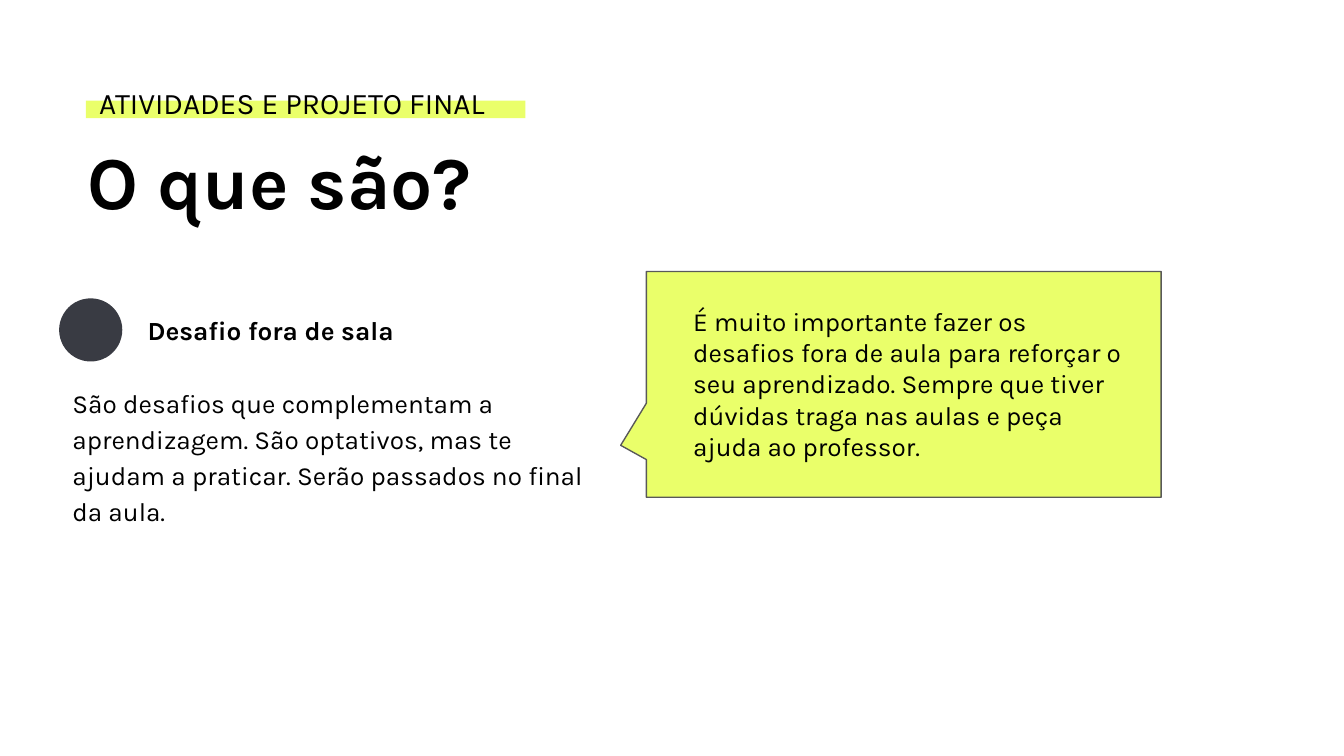
from dataclasses import dataclass

from pptx import Presentation
from pptx.dml.color import RGBColor
from pptx.enum.shapes import MSO_SHAPE as Shape
from pptx.enum.text import MSO_ANCHOR as Anchor, PP_ALIGN as Align
from pptx.util import Inches, Pt


@dataclass(frozen=True)
class Theme:
    font: str = "Karla"
    text: str = "000000"
    lime: str = "EAFF6A"
    slate: str = "393B43"
    outline: str = "595959"
    title_size: int = 40
    kicker_size: int = 16
    body_size: int = 14


THEME = Theme()


def place(item, left, top, width, height):
    item.left, item.top = Inches(left), Inches(top)
    item.width, item.height = Inches(width), Inches(height)


def write(box, text, size=THEME.body_size, bold=False, spacing=1.0):
    frame = box.text_frame
    frame.word_wrap = True
    frame.vertical_anchor = Anchor.TOP
    frame.margin_left = frame.margin_right = Inches(0.1)
    frame.margin_top = frame.margin_bottom = Inches(0.1)
    para = frame.paragraphs[0]
    para.alignment = Align.LEFT
    para.line_spacing = spacing
    para.space_before = Pt(0)
    span = para.add_run()
    span.text = text
    span.font.name = THEME.font
    span.font.size = Pt(size)
    span.font.bold = bold
    span.font.color.rgb = RGBColor.from_string(THEME.text)


def add_title(page, area, text):
    title = page.shapes.title
    place(title, *area)
    write(title, text, size=THEME.title_size, bold=True, spacing=0.9)


def add_text(page, area, text, **style):
    box = page.shapes.add_textbox(*map(Inches, area))
    write(box, text, **style)


def add_shape(page, kind, area, fill, line=None):
    shape = page.shapes.add_shape(kind, *map(Inches, area))
    shape.shadow.inherit = False
    shape.fill.solid()
    shape.fill.fore_color.rgb = RGBColor.from_string(fill)
    if line:
        shape.line.color.rgb = RGBColor.from_string(line)
        shape.line.width = Pt(0.75)
    else:
        shape.line.fill.background()
    return shape


def add_callout(page, area, text_area, text):
    callout = add_shape(page, Shape.RECTANGULAR_CALLOUT, area,
                        THEME.lime, line=THEME.outline)
    callout.adjustments[0] = -0.55
    callout.adjustments[1] = 0.27
    add_text(page, text_area, text)


def main():
    deck = Presentation()
    deck.slide_width = Inches(10)
    deck.slide_height = deck.slide_width * 9 // 16
    page = deck.slides.add_slide(deck.slide_layouts[5])

    add_title(page, (0.55, 0.98, 5.81, 0.81), "O que são?")
    add_shape(page, Shape.RECTANGLE, (0.64, 0.75, 3.27, 0.13), THEME.lime)
    add_text(page, (0.64, 0.53, 5.17, 0.47), "ATIVIDADES E PROJETO FINAL",
             size=THEME.kicker_size)

    add_text(page, (0.44, 2.75, 4.08, 1.25),
             "São desafios que complementam a aprendizagem. São optativos, "
             "mas te ajudam a praticar. Serão passados no final da aula.",
             spacing=1.15)
    add_shape(page, Shape.OVAL, (0.44, 2.22, 0.47, 0.47), THEME.slate)
    add_text(page, (1, 2.24, 2.77, 0.44), "Desafio fora de sala", bold=True)

    add_callout(page, (4.81, 2.02, 3.83, 1.68), (5.06, 2.17, 3.47, 1.38),
                "É muito importante fazer os desafios fora de aula para "
                "reforçar o seu aprendizado. Sempre que tiver dúvidas traga "
                "nas aulas e peça ajuda ao professor.")

    deck.save("out.pptx")


if __name__ == "__main__":
    main()
